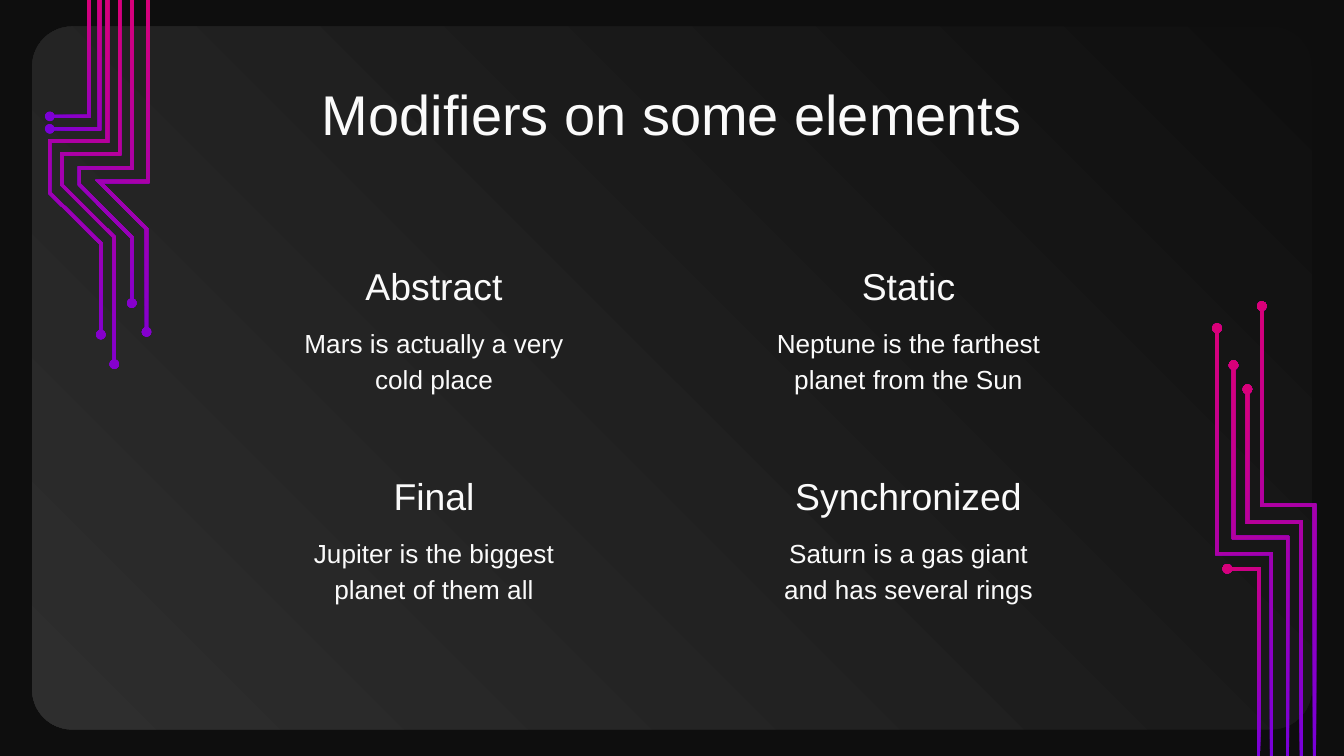
import math

import pptx
import pptx.dml.color
import pptx.enum.shapes
import pptx.enum.text
import pptx.util

Pt = pptx.util.Pt
RGBColor = pptx.dml.color.RGBColor
Anchor = pptx.enum.text.MSO_ANCHOR

BACKGROUND = RGBColor(0x0E, 0x0E, 0x0E)
PANEL_DARK = RGBColor(0x0F, 0x0F, 0x0F)
PANEL_LIGHT = RGBColor(0x2E, 0x2E, 0x2E)
TEXT_COLOR = RGBColor(0xFA, 0xFA, 0xFA)
PURPLE = RGBColor(0x78, 0x00, 0xDA)
PINK = RGBColor(0xDA, 0x00, 0x78)

SLIDE_WIDTH, SLIDE_HEIGHT = 720, 405
HALF_WIRE, DOT_RADIUS, DOT_STEPS = 0.85, 2.5, 24

MODIFIERS = [
    ("Abstract", "Mars is actually a very cold place"),
    ("Static", "Neptune is the farthest planet from the Sun"),
    ("Final", "Jupiter is the biggest planet of them all"),
    ("Synchronized", "Saturn is a gas giant and has several rings"),
]
COLUMN_LEFTS = (154.8, 409)
HEADING_TOPS = (126.7, 239.5)
TEXT_TOPS = (165.6, 278)

# Centre lines of the wires, from the slide edge to the end dot
RIGHT_WIRES = [
    [(704.2, SLIDE_HEIGHT), (704.2, 270.7), (676, 270.7), (676, 164)],
    [(697.1, SLIDE_HEIGHT), (697.1, 279.8), (668.3, 279.8), (668.3, 208.5)],
    [(674.3, SLIDE_HEIGHT), (674.3, 304.7), (657.5, 304.7)],
    [(689.8, SLIDE_HEIGHT), (689.8, 288), (660.8, 288), (660.8, 195.6)],
    [(681.1, SLIDE_HEIGHT), (681.1, 296.6), (652, 296.6), (652, 175.8)],
]
LEFT_WIRES = [
    [(47.5, 0), (47.5, 62.4), (26.6, 62.4)],
    [(53.3, 0), (53.3, 69.1), (26.6, 69.1)],
    [(57.6, 0), (57.6, 75.6), (26.6, 75.6), (26.6, 103.3), (54, 130.5), (54, 179.3)],
    [(64.1, 0), (64.1, 82.4), (33.1, 82.4), (33.1, 99), (61.2, 127.1), (61.2, 195.1)],
    [(70.6, 0), (70.6, 90), (42.5, 90), (42.5, 98.9), (70.6, 127.1), (70.6, 162.4)],
    [(79.2, 0), (79.2, 97.2), (53.1, 97.2), (78.5, 122.6), (78.5, 177.8)],
]


def set_gradient(shape, first, last, angle):
    shape.shadow.inherit = False
    shape.line.fill.background()
    shape.fill.gradient()
    shape.fill.gradient_angle = angle
    for stop, color in zip(shape.fill.gradient_stops, (first, last)):
        stop.color.rgb = color


def add_panel(slide):
    panel = slide.shapes.add_shape(
        pptx.enum.shapes.MSO_SHAPE.ROUNDED_RECTANGLE,
        Pt(17.2), Pt(14.2), Pt(685.6), Pt(376.6))
    panel.adjustments[0] = 0.057
    set_gradient(panel, PANEL_DARK, PANEL_LIGHT, 225)


def add_text(slide, text, box, size, spacing=1.15, anchor=Anchor.TOP):
    text_box = slide.shapes.add_textbox(*map(Pt, box))
    frame = text_box.text_frame
    paragraph = frame.paragraphs[0]
    run = paragraph.add_run()
    run.text = text
    margins = dict.fromkeys(
        ("margin_left", "margin_right", "margin_top", "margin_bottom"), Pt(7.2))
    formats = [
        (frame, {"word_wrap": True, "vertical_anchor": anchor, **margins}),
        (paragraph, {"alignment": pptx.enum.text.PP_ALIGN.CENTER,
                     "line_spacing": spacing}),
        (run.font, {"name": "Arial", "size": Pt(size)}),
    ]
    for target, values in formats:
        for name, value in values.items():
            setattr(target, name, value)
    run.font.color.rgb = TEXT_COLOR


def wire_outline(points):
    """Widen a centre line on both sides and round its end into a dot."""
    angles = [math.atan2(y2 - y1, x2 - x1)
              for (x1, y1), (x2, y2) in zip(points, points[1:])]
    one_side, other_side = [], []
    for (x, y), before, after in zip(points, angles[:1] + angles, angles):
        reach = HALF_WIRE / (1 + math.cos(after - before))
        dx = -reach * (math.sin(before) + math.sin(after))
        dy = reach * (math.cos(before) + math.cos(after))
        one_side.append((x + dx, y + dy))
        other_side.append((x - dx, y - dy))
    sweep = math.pi - math.asin(HALF_WIRE / DOT_RADIUS)
    x, y = points[-1]
    dot = []
    for step in range(DOT_STEPS + 1):
        angle = angles[-1] + sweep * (1 - 2 * step / DOT_STEPS)
        dot.append((x + DOT_RADIUS * math.cos(angle),
                    y + DOT_RADIUS * math.sin(angle)))
    return one_side + dot + other_side[::-1]


def add_wire(slide, points, rotation, gradient_angle):
    outline = wire_outline(points)
    center_x, center_y = [(min(axis) + max(axis)) / 2 for axis in zip(*outline)]
    turn = 1 if rotation == 90 else -1
    # Turn the outline back, so that the rotation puts it in place
    corners = [(Pt(center_x + turn * (y - center_y)),
                Pt(center_y - turn * (x - center_x))) for x, y in outline]
    builder = slide.shapes.build_freeform(*corners[0])
    builder.add_line_segments(corners[1:], close=True)
    wire = builder.convert_to_shape()
    wire.rotation = rotation
    set_gradient(wire, PURPLE, PINK, gradient_angle)


def main():
    presentation = pptx.Presentation()
    presentation.slide_width = Pt(SLIDE_WIDTH)
    presentation.slide_height = Pt(SLIDE_HEIGHT)
    slide = presentation.slides.add_slide(presentation.slide_layouts[6])

    # Background and panel
    slide.background.fill.solid()
    slide.background.fill.fore_color.rgb = BACKGROUND
    add_panel(slide)

    # Title and grid of modifiers
    add_text(slide, "Modifiers on some elements", (56.7, 35.4, 606.6, 45.4), 30, 1.0)
    for index, (heading, text) in enumerate(MODIFIERS):
        row, column = divmod(index, 2)
        left = COLUMN_LEFTS[column]
        add_text(slide, text, (left, TEXT_TOPS[row], 155.5, 52.6), 14)
        add_text(slide, heading, (left, HEADING_TOPS[row], 155.5, 45.4), 20,
                 anchor=Anchor.BOTTOM)

    # Circuit wires
    for wires, rotation, gradient_angle in ((RIGHT_WIRES, 270, 45),
                                            (LEFT_WIRES, 90, 135)):
        for points in wires:
            add_wire(slide, points, rotation, gradient_angle)

    presentation.save("out.pptx")


if __name__ == "__main__":
    main()
